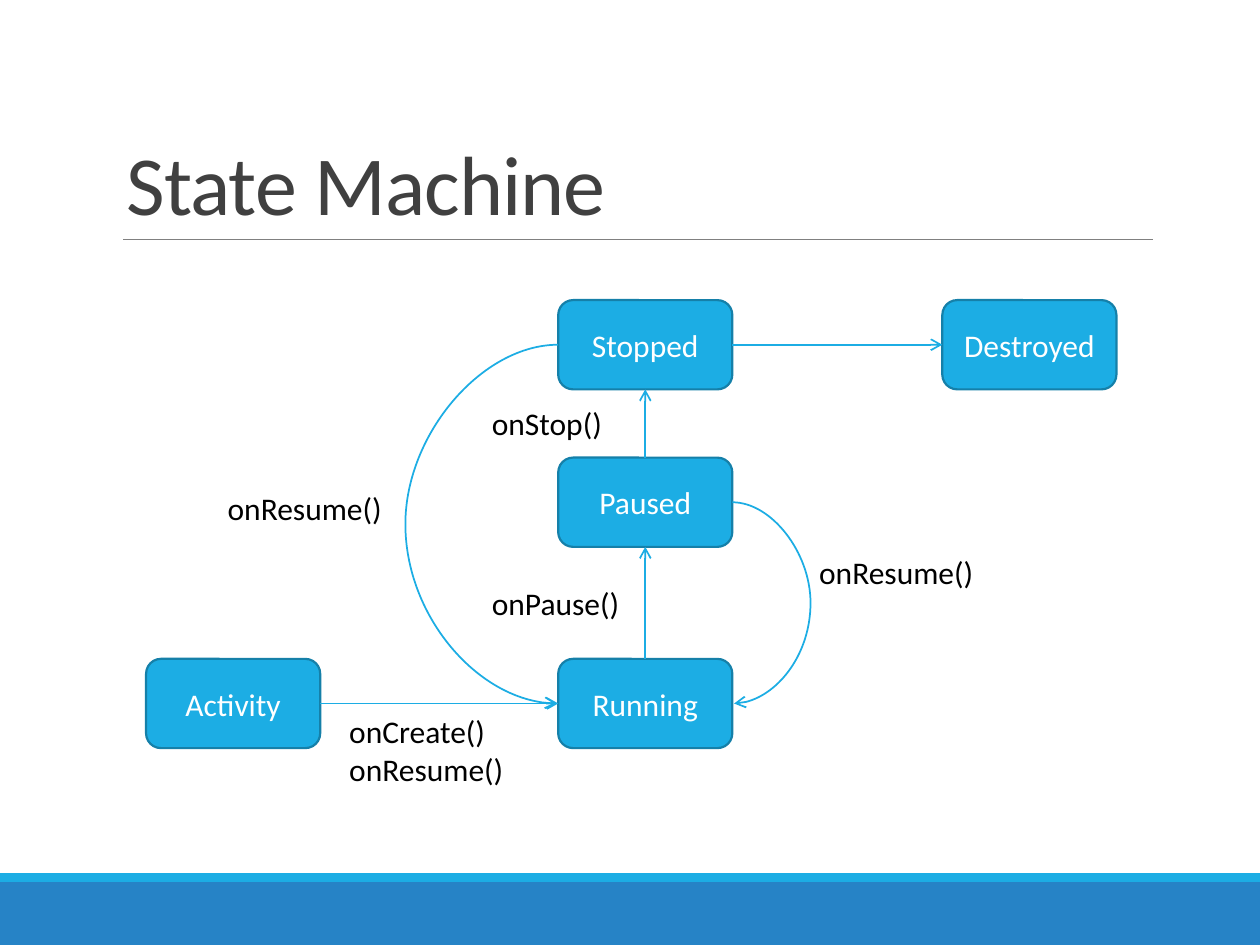
from lxml.etree import SubElement
from pptx import Presentation
from pptx.dml.color import RGBColor
from pptx.enum.shapes import MSO_CONNECTOR as Link, MSO_SHAPE as Form
from pptx.enum.text import MSO_ANCHOR as Anchor, PP_ALIGN as Align
from pptx.oxml.ns import qn
from pptx.util import Pt

# Content: lengths in points
TITLE = "State Machine"
COLUMNS = {"start": 83.5, "main": 319, "end": 538.5}
ROWS = {"top": 171.5, "middle": 261.5, "bottom": 376.5}
BOX_WIDTH, BOX_HEIGHT = 99.5, 51
STATES = {
    "Activity": ("start", "bottom"),
    "Running": ("main", "bottom"),
    "Stopped": ("main", "top"),
    "Paused": ("main", "middle"),
    "Destroyed": ("end", "top"),
}
TOP, LEFT, BOTTOM, RIGHT = range(4)  # connection sites of a box
STRAIGHT = [
    ("Activity", RIGHT, "Running", LEFT),
    ("Running", TOP, "Paused", BOTTOM),
    ("Paused", TOP, "Stopped", BOTTOM),
    ("Stopped", RIGHT, "Destroyed", LEFT),
]
CURVED = [  # from, to, side, how far the curve reaches out
    ("Paused", "Running", RIGHT, 45),
    ("Stopped", "Running", LEFT, 88),
]
LABELS = [  # lines, left, top, width, height
    (["onCreate()", "onResume()"], 192.5, 403.5, 116.5, 51),
    (["onPause()"], 274, 330, 94.5, 29),
    (["onResume()"], 461, 312.5, 118, 29),
    (["onStop()"], 274, 227.5, 91, 29),
    (["onResume()"], 123, 276, 118, 29),
]
BANDS = [(504, 36, "2683C6"), (499, 5, "1CADE4")]  # top, height, colour
BLUE, EDGE = "1CADE4", "1580A9"


def color(value):
    return RGBColor.from_string(value)


def write(shape, lines, shade, size=18, anchor=Anchor.TOP, align=Align.LEFT):
    frame = shape.text_frame
    for name, value in {"word_wrap": True, "vertical_anchor": anchor}.items():
        setattr(frame, name, value)
    for index, line in enumerate(lines):
        para = frame.paragraphs[0] if index == 0 else frame.add_paragraph()
        para.alignment = align
        span = para.add_run()
        span.text = line
        for name, value in {"name": "Calibri", "size": Pt(size)}.items():
            setattr(span.font, name, value)
        span.font.color.rgb = color(shade)
    return frame


def add_box(page, form, place, fill, edge=None):
    box = page.shapes.add_shape(form, *map(Pt, place))
    box.shadow.inherit = False
    box.fill.solid()
    box.fill.fore_color.rgb = color(fill)
    if edge:
        box.line.color.rgb = color(edge)
        box.line.width = Pt(1.25)
    else:
        box.line.fill.background()
    return box


def add_line(page, kind, shade, width, ends=(0, 0, 0, 0)):
    line = page.shapes.add_connector(kind, *map(Pt, ends))
    line.line.color.rgb = color(shade)
    line.line.width = Pt(width)
    SubElement(line._element.spPr, qn("a:effectLst"))
    return line


def add_arrow(page, kind, source, source_site, target, target_site):
    arrow = add_line(page, kind, BLUE, 1)
    arrow.begin_connect(source, source_site)
    arrow.end_connect(target, target_site)
    SubElement(arrow.line._get_or_add_ln(), qn("a:tailEnd"), type="arrow")
    return arrow


def bend(arrow, side, reach):
    # The ends lie one point apart, so the adjustment is the reach itself
    arrow.end_x = arrow.begin_x + Pt(1 if side == RIGHT else -1)
    geometry = arrow._element.spPr.find(qn("a:prstGeom"))
    guides = geometry.find(qn("a:avLst"))
    if guides is None:
        guides = SubElement(geometry, qn("a:avLst"))
    SubElement(guides, qn("a:gd"), name="adj1", fmla=f"val {reach * 100000}")


def main():
    deck = Presentation()
    deck.slide_width, deck.slide_height = Pt(720), Pt(540)
    page = deck.slides.add_slide(deck.slide_layouts[5])

    # Bottom bands, title and rule
    for top, height, fill in BANDS:
        add_box(page, Form.RECTANGLE, (0, top, 720, height), fill)
    add_line(page, Link.STRAIGHT, "808080", 0.5, (70.5, 136.8, 659, 136.8))
    title = page.shapes.title
    place = {"left": 65, "top": 22.5, "width": 594, "height": 114}
    for name, value in place.items():
        setattr(title, name, Pt(value))
    para = write(title, [TITLE], "404040", 48, Anchor.BOTTOM).paragraphs[0]
    para.line_spacing = 0.85
    para.runs[0].font._element.set("spc", "-50")

    # States
    boxes = {}
    for name, (column, row) in STATES.items():
        place = COLUMNS[column], ROWS[row], BOX_WIDTH, BOX_HEIGHT
        boxes[name] = add_box(page, Form.ROUNDED_RECTANGLE, place, BLUE, EDGE)
        write(boxes[name], [name], "FFFFFF", 18, Anchor.MIDDLE, Align.CENTER)

    # Transitions
    for source, source_site, target, target_site in STRAIGHT:
        add_arrow(page, Link.STRAIGHT, boxes[source], source_site,
                  boxes[target], target_site)
    for source, target, side, reach in CURVED:
        arrow = add_arrow(page, Link.CURVE, boxes[source], side,
                          boxes[target], side)
        bend(arrow, side, reach)

    # Transition labels
    for lines, *place in LABELS:
        write(page.shapes.add_textbox(*map(Pt, place)), lines, "000000")

    deck.save("out.pptx")


if __name__ == "__main__":
    main()
